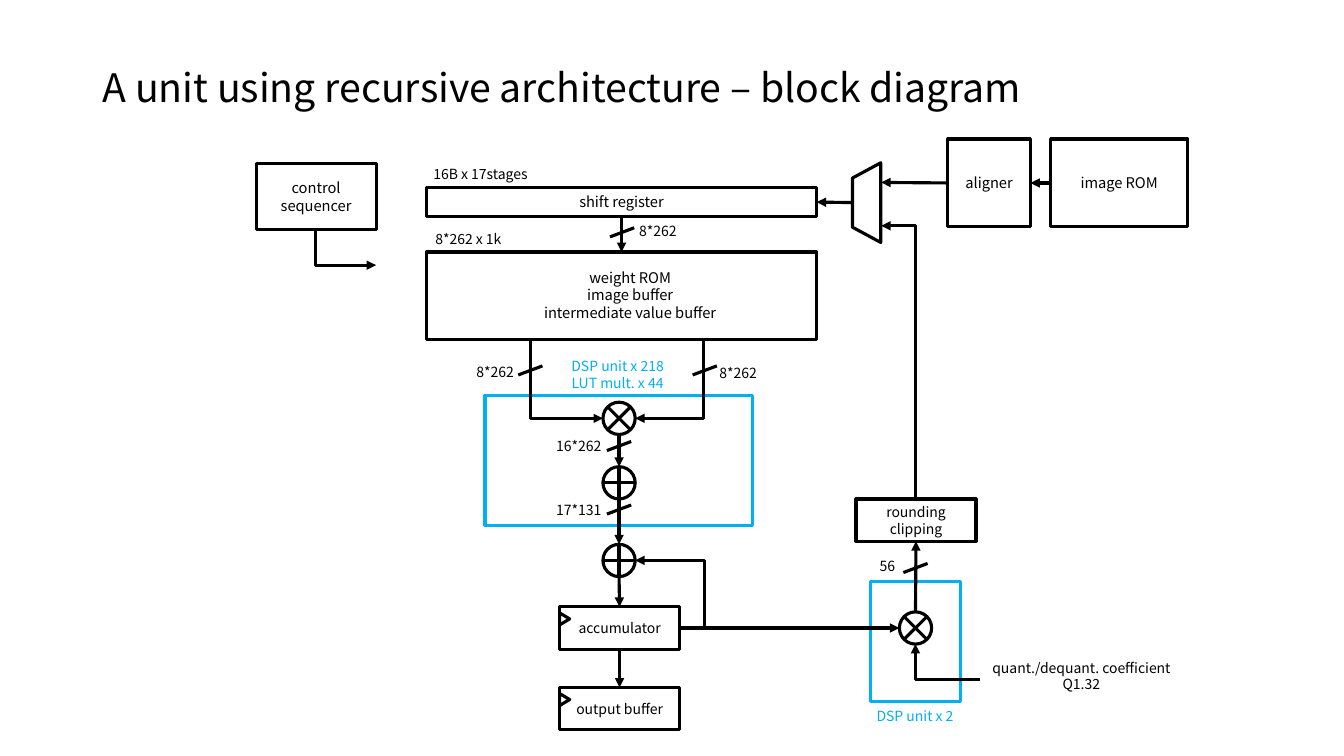
from pptx import Presentation
from pptx.dml.color import RGBColor
from pptx.enum.shapes import MSO_CONNECTOR, MSO_SHAPE
from pptx.enum.text import MSO_ANCHOR, PP_ALIGN
from pptx.oxml.ns import qn
from pptx.util import Emu, Pt
from lxml.etree import SubElement

PX = 9144
FONT = "Noto Sans CJK KR"
BLACK, BLUE, WHITE = "000000", "00B0F0", "FFFFFF"
CIRCLE = 32


def px(n):
    return Emu(round(n * PX))


def rgb(color):
    return RGBColor.from_string(color)


def write(sp, text, size, color=BLACK, align=PP_ALIGN.CENTER):
    tf = sp.text_frame
    tf.word_wrap = True
    tf.vertical_anchor = MSO_ANCHOR.MIDDLE
    for i, line in enumerate(text.split("\n")):
        p = tf.add_paragraph() if i else tf.paragraphs[0]
        p.text = line
        p.alignment = align
        p.font.name = FONT
        p.font.size = Pt(size)
        p.font.color.rgb = rgb(color)
    return tf


def label(s, text, x, y, w, h=47, size=10, color=BLACK, align=PP_ALIGN.CENTER):
    sp = s.shapes.add_textbox(px(x), px(y), px(w), px(h))
    return write(sp, text, size, color, align)


def shape(s, kind, x, y, w, h, color=BLACK, fill=None):
    sp = s.shapes.add_shape(kind, px(x), px(y), px(w), px(h))
    sp.shadow.inherit = False
    sp.line.color.rgb = rgb(color)
    sp.line.width = Pt(2.25)
    if fill:
        sp.fill.solid()
        sp.fill.fore_color.rgb = rgb(fill)
    else:
        sp.fill.background()
    return sp


def block(s, x, y, w, h, text="", size=10, color=BLACK):
    sp = shape(s, MSO_SHAPE.RECTANGLE, x, y, w, h, color)
    if text:
        tf = write(sp, text, size)
        tf.margin_top = tf.margin_bottom = 0
    return sp


def register(s, x, y, text):
    sp = block(s, x, y, 119, 42, text)
    clock = shape(s, MSO_SHAPE.ISOSCELES_TRIANGLE, x - 1, y + 7, 12, 10, fill=WHITE)
    clock.rotation = 90
    return sp


def multiplier(s, x, y):
    shape(s, MSO_SHAPE.FLOWCHART_SUMMING_JUNCTION, x, y, CIRCLE, CIRCLE, fill=WHITE)


def adder(s, x, y):
    shape(s, MSO_SHAPE.FLOWCHART_OR, x, y, CIRCLE, CIRCLE)


def line(s, x1, y1, x2, y2, arrow=True, kind=MSO_CONNECTOR.STRAIGHT):
    c = s.shapes.add_connector(kind, px(x1), px(y1), px(x2), px(y2))
    c.line.color.rgb = rgb(BLACK)
    c.line.width = Pt(2.25)
    if arrow:
        SubElement(c.element.spPr.find(qn("a:ln")), qn("a:tailEnd"), type="triangle")
    SubElement(c.element.spPr, qn("a:effectLst"))
    return c


def elbow(s, x1, y1, x2, y2, vertical=False, adj=None):
    if vertical:
        cx, cy = (x1 + x2) / 2, (y1 + y2) / 2
        dx, dy = (y2 - y1) / 2, (x1 - x2) / 2
        x1, y1, x2, y2 = cx - dx, cy - dy, cx + dx, cy + dy
    c = line(s, x1, y1, x2, y2, kind=MSO_CONNECTOR.ELBOW)
    if vertical:
        c.element.spPr.find(qn("a:xfrm")).set("rot", "5400000")
    geom = c.element.spPr.find(qn("a:prstGeom"))
    if adj is None:
        geom.set("prst", "bentConnector2")
    else:
        guides = geom.find(qn("a:avLst"))
        SubElement(guides, qn("a:gd"), name="adj1", fmla=f"val {round(adj * 100000)}")


def slash(s, x, y):
    line(s, x, y, x + 24, y - 9, arrow=False)


def title(s, x, y, w, h):
    tf = label(s, "A unit using recursive architecture – block diagram",
               x, y, w, h, size=28, align=PP_ALIGN.LEFT)
    tf.paragraphs[0].line_spacing = 0.9


def control(s, x, y):
    block(s, x, y, 119, 66, "control\nsequencer", 10.5)
    elbow(s, x + 59, y + 66, x + 119, y + 101, vertical=True)


def memory(s, x, y):
    shift = block(s, x, y, 387, 29, "shift register", 10.5)
    rom = block(s, x, y + 64, 387, 87)
    label(s, "weight ROM\nimage buffer\nintermediate value buffer",
          x + 103, y + 83, 198, size=10.5)
    label(s, "16B x 17stages", x - 9, y - 37, 125)
    label(s, "8*262 x 1k", x - 21, y + 28, 125)
    label(s, "8*262", x + 188, y + 20, 83)
    c = line(s, x + 194, y + 29, x + 194, y + 64)
    c.begin_connect(shift, 2)
    c.end_connect(rom, 0)
    slash(s, x + 182, y + 49)
    return shift


def multiply_add(s, x, y):
    mid = x + 133
    block(s, x, y, 265, 129, color=BLUE)
    label(s, "DSP unit x 218\nLUT mult. x 44", x + 66, y - 44, 131, color=BLUE)
    multiplier(s, x + 117, y + 7)
    adder(s, x + 117, y + 71)
    elbow(s, x + 45, y - 55, x + 117, y + 23, vertical=True)
    elbow(s, x + 217, y - 56, x + 149, y + 23, vertical=True)
    line(s, mid, y + 39, mid, y + 71)
    line(s, mid, y + 103, mid, y + 148)
    for text, dx, dy in (("8*262", -31, -47), ("8*262", 210, -46),
                         ("16*262", 52, 27), ("17*131", 52, 90)):
        label(s, text, x + dx, y + dy, 82)
    for dx, dy in ((33, -20), (206, -20), (121, 55), (121, 118)):
        slash(s, x + dx, y + dy)


def accumulation(s, x, y):
    adder(s, x + 43, y)
    acc = register(s, x, y + 62, "accumulator")
    out = register(s, x, y + 142, "output buffer")
    line(s, x + 59, y + 32, x + 59, y + 62).end_connect(acc, 0)
    elbow(s, x + 119, y + 83, x + 75, y + 16, adj=-0.57)
    c = line(s, x + 59, y + 104, x + 59, y + 142)
    c.begin_connect(acc, 2)
    c.end_connect(out, 0)
    return acc


def quantizer(s, x, y):
    block(s, x, y, 90, 119, color=BLUE)
    label(s, "DSP unit x 2", x - 21, y + 110, 131, color=BLUE)
    multiplier(s, x + 29, y + 30)
    elbow(s, x + 109, y + 97, x + 45, y + 62)
    label(s, "quant./dequant. coefficient Q1.32", x + 104, y + 70, 211)
    clip = block(s, x - 14, y - 82, 119, 42, "rounding\nclipping")
    line(s, x + 45, y + 30, x + 45, y - 40).end_connect(clip, 2)
    slash(s, x + 33, y - 9)
    label(s, "56", x - 24, y - 39, 82)


def image_input(s, x, y):
    mux = shape(s, MSO_SHAPE.TRAPEZOID, x - 26, y + 49, 79, 28, fill=WHITE)
    mux.adjustments[0] = 0.54
    mux.rotation = 270
    aligner = block(s, x + 94, y, 82, 87, "aligner", 10.5)
    rom = block(s, x + 196, y, 136, 87, "image ROM", 10.5)
    line(s, x + 94, y + 43, x + 28, y + 43).begin_connect(aligner, 1)
    c = line(s, x + 196, y + 43, x + 176, y + 43)
    c.begin_connect(rom, 1)
    c.end_connect(aligner, 3)


def main():
    prs = Presentation()
    prs.slide_width, prs.slide_height = px(1333), px(750)
    s = prs.slides.add_slide(prs.slide_layouts[6])
    title(s, 92, 40, 1150, 98)
    control(s, 254, 162)
    shift = memory(s, 423, 186)
    multiply_add(s, 481, 392)
    acc = accumulation(s, 555, 540)
    quantizer(s, 863, 577)
    image_input(s, 846, 138)
    line(s, 846, 201, 810, 201).end_connect(shift, 3)
    line(s, 674, 623, 892, 623).begin_connect(acc, 3)
    elbow(s, 908, 495, 874, 224, vertical=True)
    prs.save("out.pptx")


if __name__ == "__main__":
    main()
